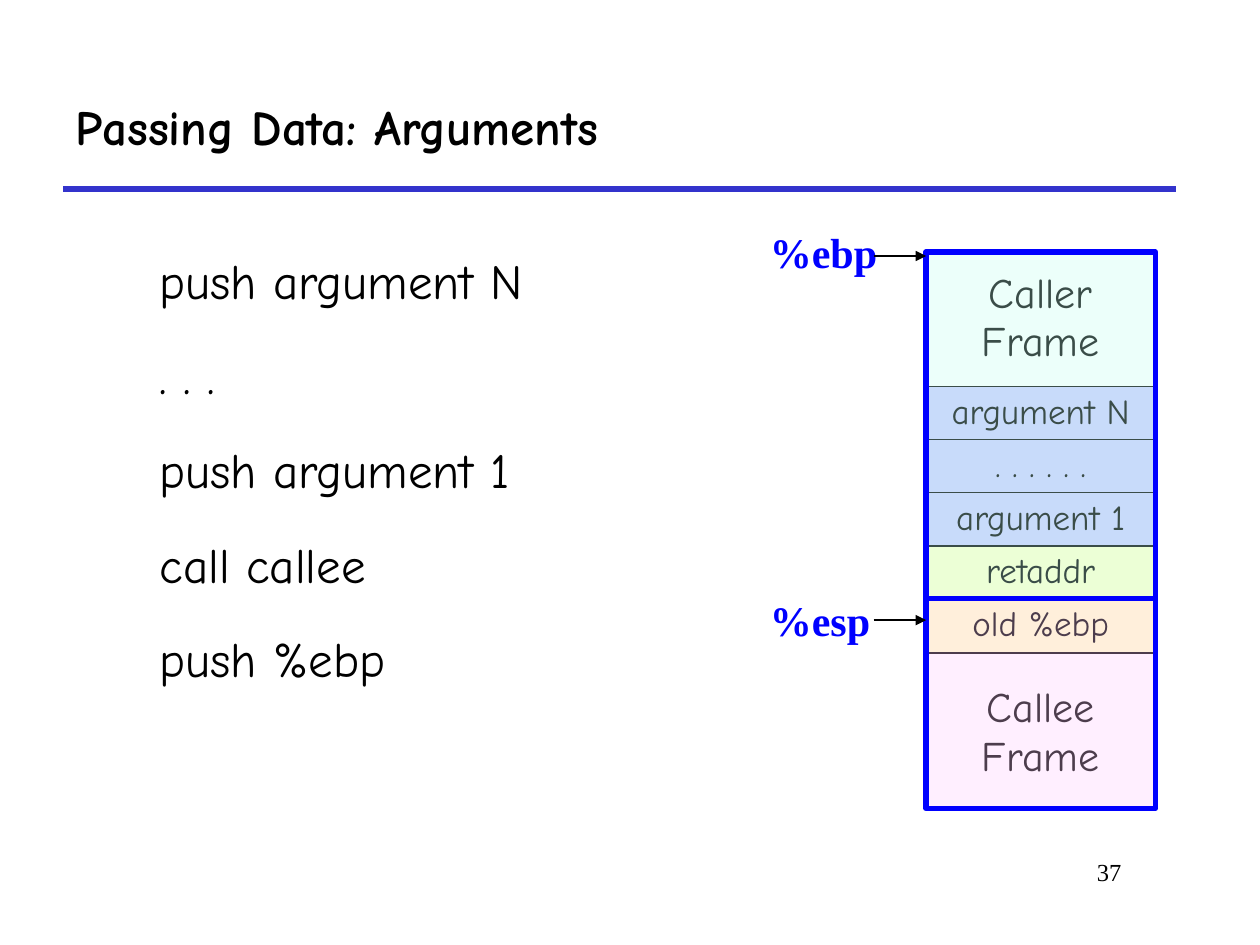
from dataclasses import dataclass

from lxml import etree
from pptx import Presentation
from pptx.dml.color import RGBColor
from pptx.enum.shapes import MSO_CONNECTOR, MSO_SHAPE
from pptx.enum.text import MSO_ANCHOR, MSO_AUTO_SIZE, PP_ALIGN
from pptx.oxml.ns import qn
from pptx.util import Cm, Pt

STRAIGHT = MSO_CONNECTOR.STRAIGHT
RECTANGLE = MSO_SHAPE.RECTANGLE
TOP, MIDDLE = MSO_ANCHOR.TOP, MSO_ANCHOR.MIDDLE
FIXED, GROW = MSO_AUTO_SIZE.NONE, MSO_AUTO_SIZE.SHAPE_TO_FIT_TEXT
LEFT, CENTER, RIGHT = PP_ALIGN.LEFT, PP_ALIGN.CENTER, PP_ALIGN.RIGHT


@dataclass(frozen=True)
class Theme:
    hand: str = "Comic Neue"
    serif: str = "Times New Roman"
    black: str = "000000"
    blue: str = "0000FF"
    rule: str = "3333CC"
    argument: str = "CCCCFF"
    saved: str = "FFFFCC"
    caller: str = "C2FFF0"
    callee: str = "FFCCFF"
    heading: int = 28
    label: int = 24
    cell: int = 20
    number: int = 14


@dataclass(frozen=True)
class Box:
    left: float
    top: float
    width: float
    height: float

    def lengths(self):
        return [Cm(n) for n in (self.left, self.top, self.width, self.height)]


THEME = Theme()
HEADING = {"name": THEME.hand, "size": Pt(THEME.heading), "bold": True}
BODY = {"name": THEME.hand, "size": Pt(THEME.heading)}
FRAME = {"name": THEME.hand, "size": Pt(THEME.label)}
CELL = {"name": THEME.hand, "size": Pt(THEME.cell)}
REGISTER = {"name": THEME.serif, "size": Pt(THEME.label), "bold": True}
NUMBER = {"name": THEME.serif, "size": Pt(THEME.number)}
WRAPPED = {"word_wrap": True, "auto_size": FIXED}
ONE_LINE = {"word_wrap": False, "auto_size": GROW}


def apply(target, values):
    for name, value in values.items():
        setattr(target, name, value)


def write(text_frame, text, font, color=THEME.black, **layout):
    text_frame.text = text
    for index, paragraph in enumerate(text_frame.paragraphs):
        apply(paragraph, layout)
        if index == 0:
            paragraph.space_before = Pt(0)
        for run in paragraph.runs:
            apply(run.font, font)
            run.font.color.rgb = RGBColor.from_string(color)


def add_text(slide, box, text, font, color=THEME.black, anchor=TOP, fit=WRAPPED, **layout):
    text_frame = slide.shapes.add_textbox(*box.lengths()).text_frame
    apply(text_frame, {"vertical_anchor": anchor, **fit})
    write(text_frame, text, font, color, **layout)


def add_line(slide, start, end, color, width, arrow=False):
    connector = slide.shapes.add_connector(STRAIGHT, *[Cm(n) for n in start + end])
    connector.line.color.rgb = RGBColor.from_string(color)
    connector.line.width = Pt(width)
    if arrow:
        line = connector.line._get_or_add_ln()
        etree.SubElement(line, qn("a:tailEnd"), type="triangle")
    etree.SubElement(connector._element.spPr, qn("a:effectLst"))


def add_cell(slide, box, text, font, fill=None, margin_top=0.13):
    table = slide.shapes.add_table(1, 1, *box.lengths()).table
    apply(table, {"first_row": False, "horz_banding": False})
    cell = table.cell(0, 0)
    cell.margin_top = Cm(margin_top)
    properties = cell._tc.get_or_add_tcPr()
    for side in ("lnL", "lnR", "lnT", "lnB"):
        border = etree.SubElement(properties, qn(f"a:{side}"), w=str(Pt(1.08)))
        solid = etree.SubElement(border, qn("a:solidFill"))
        etree.SubElement(solid, qn("a:srgbClr"), val=THEME.black)
    if fill:
        cell.fill.solid()
        cell.fill.fore_color.rgb = RGBColor.from_string(fill)
    else:
        cell.fill.background()
    write(cell.text_frame, text, font, alignment=CENTER)


def add_frame(slide, box, text, color, margin_top):
    add_cell(slide, box, text, FRAME, margin_top=margin_top)
    shape = slide.shapes.add_shape(RECTANGLE, *box.lengths())
    shape.shadow.inherit = False
    shape.fill.solid()
    shape.fill.fore_color.rgb = RGBColor.from_string(color)
    tint = shape._element.spPr.find(f"{qn('a:solidFill')}/{qn('a:srgbClr')}")
    etree.SubElement(tint, qn("a:alpha"), val="30000")
    shape.line.color.rgb = RGBColor.from_string(THEME.blue)
    shape.line.width = Pt(3)


def add_heading(slide, box):
    bottom = box.top + box.height
    add_line(slide, (box.left, bottom), (box.left + box.width, bottom), THEME.rule, 3)
    add_text(slide, box, "Passing Data: Arguments", HEADING, anchor=MIDDLE)


def add_steps(slide, box):
    steps = ["push argument N", ". . .", "push argument 1", "call callee", "push %ebp"]
    add_text(slide, box, "\n".join(steps), BODY, alignment=LEFT,
             line_spacing=1.4, space_before=Pt(7))


def add_register(slide, box, name, arrow_drop):
    add_text(slide, box, name, REGISTER, THEME.blue, fit=ONE_LINE)
    y = box.top + arrow_drop
    add_line(slide, (box.left + 2.34, y), (box.left + 3.4, y), THEME.black, 0.75, True)


def add_stack(slide, box):
    split, row_step, row_height = box.top + 6.99, 1.07, 1.09
    rows = [
        ("argument N", THEME.argument),
        (". . . . . .", THEME.argument),
        ("argument 1", THEME.argument),
        ("retaddr", THEME.saved),
        ("old %ebp", THEME.saved),
    ]
    first_row = split - (len(rows) - 1) * row_step
    for index, (text, fill) in enumerate(rows):
        row = Box(box.left, first_row + index * row_step, box.width, row_height)
        add_cell(slide, row, text, CELL, fill)
    caller = Box(box.left, box.top, box.width, split - box.top)
    callee = Box(box.left, split, box.width, box.top + box.height - split)
    add_frame(slide, caller, "Caller\vFrame", THEME.caller, 0.38)
    add_frame(slide, callee, "Callee\vFrame", THEME.callee, 1.74)
    register_left = box.left - 3.4
    add_register(slide, Box(register_left, box.top - 0.64, 2.67, 1.27), "%ebp", 0.72)
    add_register(slide, Box(register_left, split - 0.21, 2.55, 1.27), "%esp", 0.64)


def main():
    presentation = Presentation()
    apply(presentation, {"slide_width": Cm(25.4), "slide_height": Cm(19.05)})
    slide = presentation.slides.add_slide(presentation.slide_layouts[6])
    add_heading(slide, Box(1.27, 1.27, 22.43, 2.54))
    add_steps(slide, Box(2.97, 4.45, 14, 12.27))
    add_stack(slide, Box(18.67, 5.08, 4.62, 11.22))
    add_text(slide, Box(19.25, 17.15, 3.61, 1.27), "37", NUMBER, alignment=RIGHT)
    presentation.save("out.pptx")


if __name__ == "__main__":
    main()
